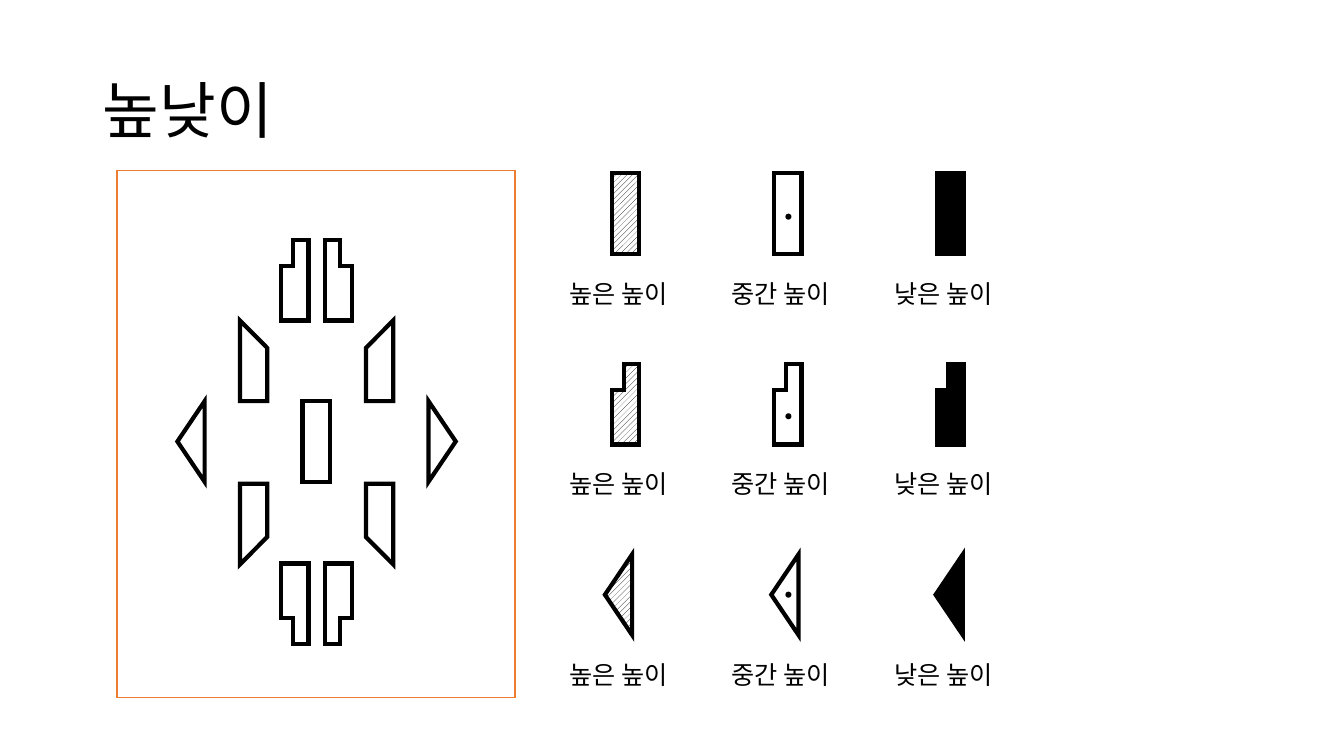
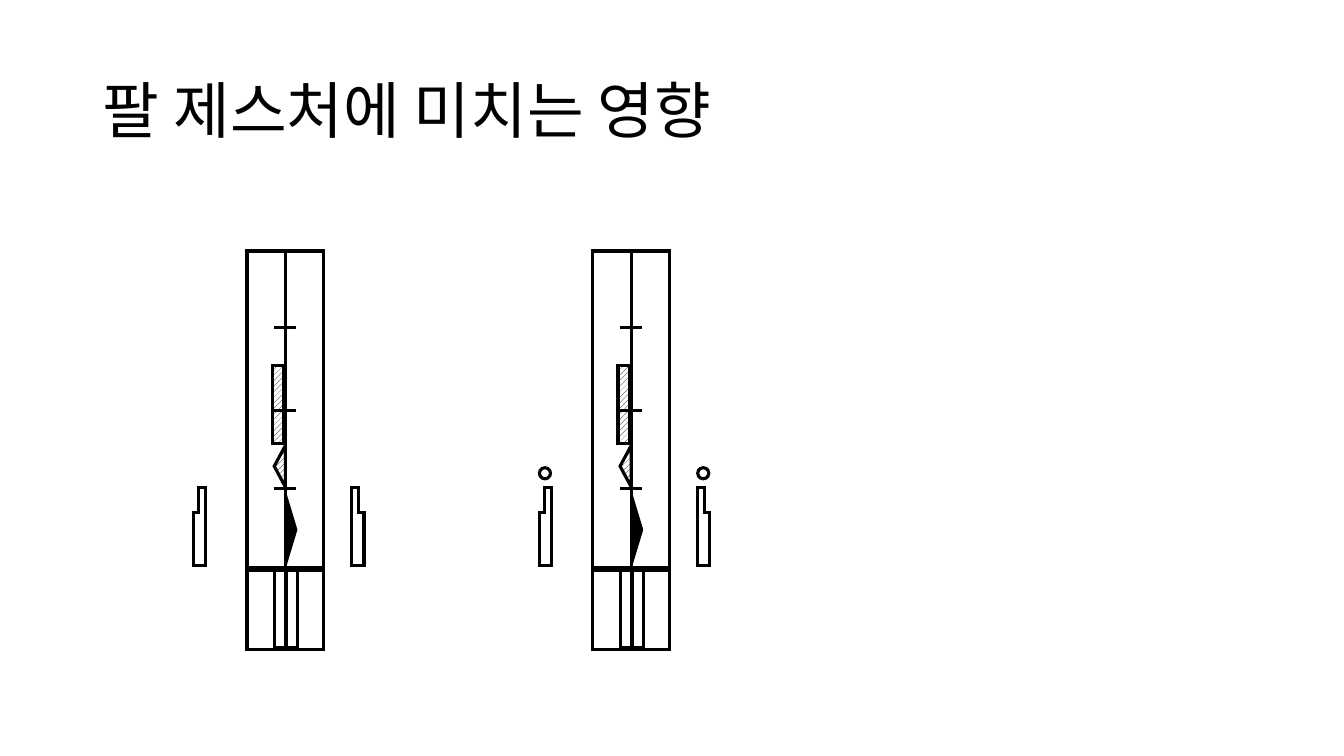
from lxml import etree
from pptx import Presentation
from pptx.dml.color import RGBColor
from pptx.enum import dml, shapes, text
from pptx.oxml import ns
from pptx.util import Inches, Pt

BLACK = RGBColor(0x00, 0x00, 0x00)
WHITE = RGBColor(0xFF, 0xFF, 0xFF)
ORANGE = RGBColor(0xED, 0x7D, 0x31)
FONT = "Noto Sans CJK KR"
HATCH = "hatch"

RECTANGLE = shapes.MSO_SHAPE.RECTANGLE
ELLIPSE = shapes.MSO_SHAPE.OVAL
TRIANGLE = shapes.MSO_SHAPE.ISOSCELES_TRIANGLE
STEP = [(0.43, 0), (1, 0), (1, 1), (0, 1), (0, 0.32), (0.43, 0.32)]
SLANT = [(0, 0), (1, 0.34), (1, 1), (0, 1)]

SIGN_WIDTH, SIGN_HEIGHT = 0.27, 0.8
SIGN_LINE = 3
STAFF_LINE = 2.25
LEVELS = [("높은 높이", HATCH), ("중간 높이", WHITE), ("낮은 높이", BLACK)]


def style_text(paragraph, size):
    for run in paragraph.runs:
        run.font.name = FONT
        run.font.size = Pt(size)
        run.font.color.rgb = BLACK
        east_asian = etree.SubElement(run.font._element, ns.qn("a:ea"))
        east_asian.set("typeface", FONT)


def style_shape(shape, fill, weight, color=BLACK):
    shape.shadow.inherit = False
    if fill is None:
        shape.fill.background()
    elif fill == HATCH:
        shape.fill.patterned()
        shape.fill.pattern = dml.MSO_PATTERN.WIDE_UPWARD_DIAGONAL
        shape.fill.fore_color.rgb = BLACK
        shape.fill.back_color.rgb = WHITE
    else:
        shape.fill.solid()
        shape.fill.fore_color.rgb = fill
    if weight:
        shape.line.color.rgb = color
        shape.line.width = Pt(weight)
        miter = etree.SubElement(shape.line._get_or_add_ln(), ns.qn("a:miter"))
        miter.set("lim", "800000")
    else:
        shape.line.fill.background()


def add_preset(parent, kind, box, fill, weight, color=BLACK):
    shape = parent.add_shape(kind, *map(Inches, box))
    style_shape(shape, fill, weight, color)
    return shape


def add_triangle(parent, box, fill, weight, rotation):
    left, top, width, height = box
    shift = (height - width) / 2
    unrotated = (left - shift, top + shift, height, width)
    add_preset(parent, TRIANGLE, unrotated, fill, weight).rotation = rotation


def add_outline(parent, outline, box, fill, weight, mirrored=False, upturned=False):
    left, top, width, height = box
    points = [
        (Inches(left + width * (1 - x if mirrored else x)),
         Inches(top + height * (1 - y if upturned else y)))
        for x, y in outline
    ]
    builder = parent.build_freeform(*points[0], scale=1.0)
    builder.add_line_segments(points[1:], close=True)
    style_shape(builder.convert_to_shape(), fill, weight)


def add_line(parent, left, right, y):
    line = parent.add_connector(
        shapes.MSO_CONNECTOR.STRAIGHT, Inches(left), Inches(y), Inches(right), Inches(y))
    line.line.color.rgb = BLACK
    line.line.width = Pt(STAFF_LINE)
    etree.SubElement(line._element.spPr, ns.qn("a:effectLst"))


def add_label(parent, left, top, label):
    box = parent.add_textbox(Inches(left), Inches(top), Inches(1.3), Inches(0.4))
    frame = box.text_frame
    frame.text = label
    frame.word_wrap = False
    frame.auto_size = text.MSO_AUTO_SIZE.SHAPE_TO_FIT_TEXT
    style_text(frame.paragraphs[0], 18)


def add_titled_slide(presentation, heading):
    slide = presentation.slides.add_slide(presentation.slide_layouts[5])
    title = slide.shapes.title
    title.left, title.top = Inches(0.92), Inches(0.4)
    title.width, title.height = Inches(11.5), Inches(1.45)
    frame = title.text_frame
    frame.text = heading
    frame.word_wrap = True
    frame.vertical_anchor = text.MSO_ANCHOR.MIDDLE
    paragraph = frame.paragraphs[0]
    paragraph.alignment = text.PP_ALIGN.LEFT
    paragraph.line_spacing = 0.9
    style_text(paragraph, 44)
    return slide


def add_direction_signs(slide, left, top, width, height):
    add_preset(slide.shapes, RECTANGLE, (left, top, width, height), None, 1, ORANGE)
    signs = slide.shapes.add_group_shape().shapes

    def sign_box(x, y):
        return left + x, top + y, SIGN_WIDTH, SIGN_HEIGHT

    add_preset(signs, RECTANGLE, sign_box(1.84, 2.29), WHITE, SIGN_LINE)
    for x, rotation in ((0.6, 270), (3.09, 90)):
        add_triangle(signs, sign_box(x, 2.29), WHITE, SIGN_LINE, rotation)
    for outline, columns, rows in (
        (STEP, (1.63, 2.06), (0.69, 3.9)),
        (SLANT, (1.22, 2.47), (1.49, 3.11)),
    ):
        for mirrored, x in enumerate(columns):
            for upturned, y in enumerate(rows):
                add_outline(signs, outline, sign_box(x, y), WHITE, SIGN_LINE,
                            mirrored, upturned)


def add_level_legend(slide, left, top):
    column_step, row_step = 1.61, 1.89
    triangle_lefts = (0.45, 2.1, 3.73)
    dot_centers = (0.43, 0.52, 0.4)
    for row, dot_center in enumerate(dot_centers):
        y = top + row * row_step
        for column, (label, fill) in enumerate(LEVELS):
            label_left = left + column * column_step
            sign_left = label_left + 0.52
            box = (sign_left, y, SIGN_WIDTH, SIGN_HEIGHT)
            if row == 0:
                add_preset(slide.shapes, RECTANGLE, box, fill, SIGN_LINE)
            elif row == 1:
                add_outline(slide.shapes, STEP, box, fill, SIGN_LINE)
            else:
                triangle_box = (left + triangle_lefts[column], *box[1:])
                add_triangle(slide.shapes, triangle_box, fill, SIGN_LINE, 270)
            if fill == WHITE:
                dot = (sign_left + 0.11, y + dot_center - 0.03, 0.06, 0.06)
                add_preset(slide.shapes, ELLIPSE, dot, BLACK, 0)
            add_label(slide.shapes, label_left, y + 0.99, label)


def add_staff(slide, left, top, with_circles):
    staff = slide.shapes.add_group_shape().shapes

    def place(x, y, width, height):
        return left + x, top + y, width, height

    for y, height in ((3.14, 0.81), (0, 3.14)):
        for x in (0, 0.38):
            add_preset(staff, RECTANGLE, place(x, y, 0.38, height), WHITE, STAFF_LINE)
    add_line(staff, left, left + 0.76, top + 3.17)
    for x, y, fill in ((0.25, 1.14, HATCH), (0.27, 3.17, WHITE), (0.39, 3.17, WHITE)):
        add_preset(staff, RECTANGLE, place(x, y, 0.11, 0.77), fill, STAFF_LINE)
    for y in (0.76, 1.58, 2.36):
        add_line(staff, left + 0.27, left + 0.49, top + y)
    add_triangle(staff, place(0.39, 2.4, 0.11, 0.73), BLACK, 0, 90)
    add_triangle(staff, place(0.27, 1.93, 0.11, 0.41), HATCH, STAFF_LINE, 270)
    for mirrored, x in enumerate((-0.53, 1.04)):
        add_outline(staff, STEP, place(x, 2.35, 0.12, 0.77), WHITE, STAFF_LINE, mirrored)
        if with_circles:
            add_preset(staff, ELLIPSE, place(x, 2.15, 0.11, 0.11), None, STAFF_LINE)


def main():
    presentation = Presentation()
    presentation.slide_width = Inches(13.33)
    presentation.slide_height = Inches(7.5)

    levels = add_titled_slide(presentation, "높낮이")
    add_direction_signs(levels, 1.16, 1.69, 3.95, 5.23)
    add_level_legend(levels, 5.55, 1.72)

    gestures = add_titled_slide(presentation, "팔 제스처에 미치는 영향")
    add_staff(gestures, 2.45, 2.49, False)
    add_staff(gestures, 5.88, 2.49, True)

    presentation.save("out.pptx")


if __name__ == "__main__":
    main()
